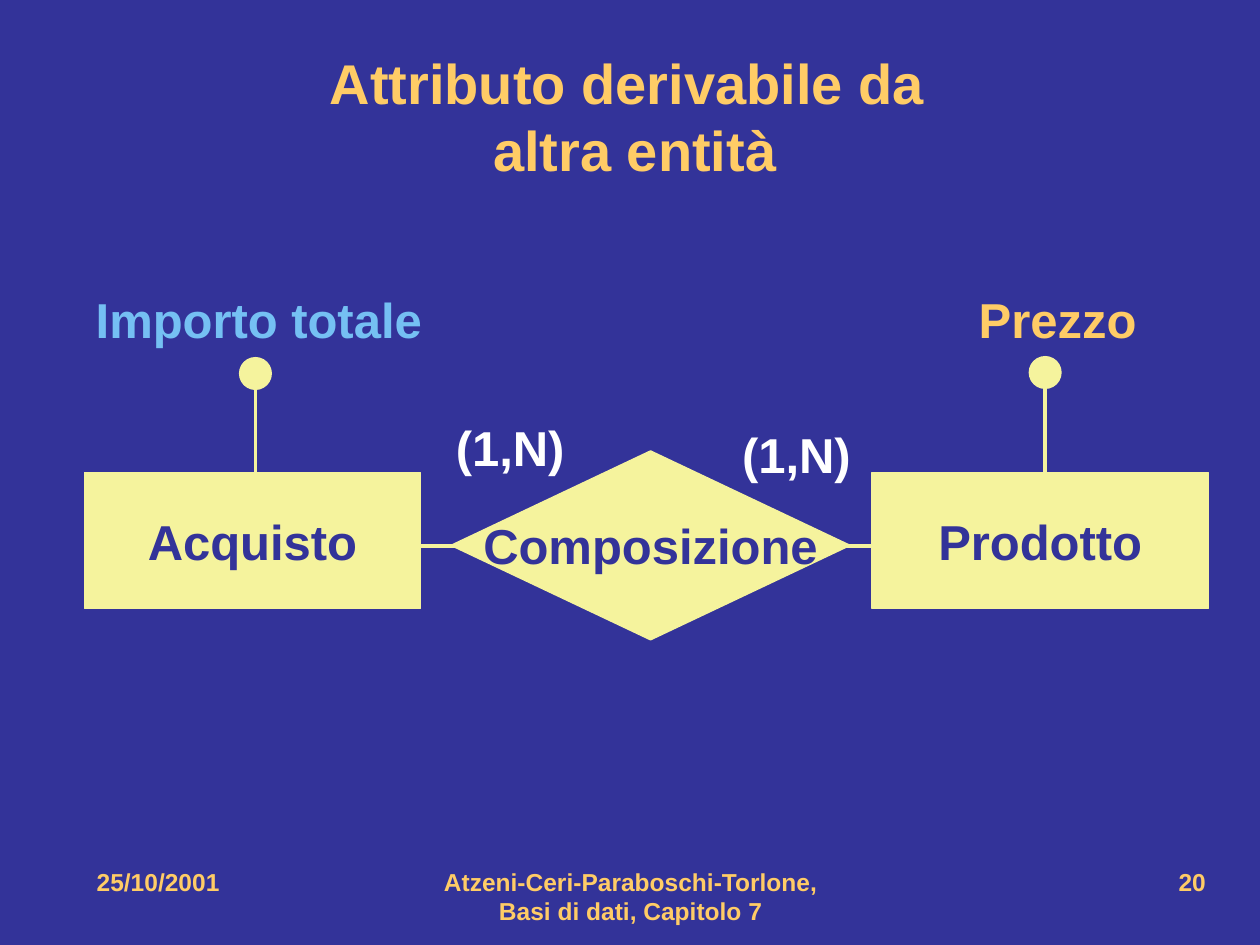
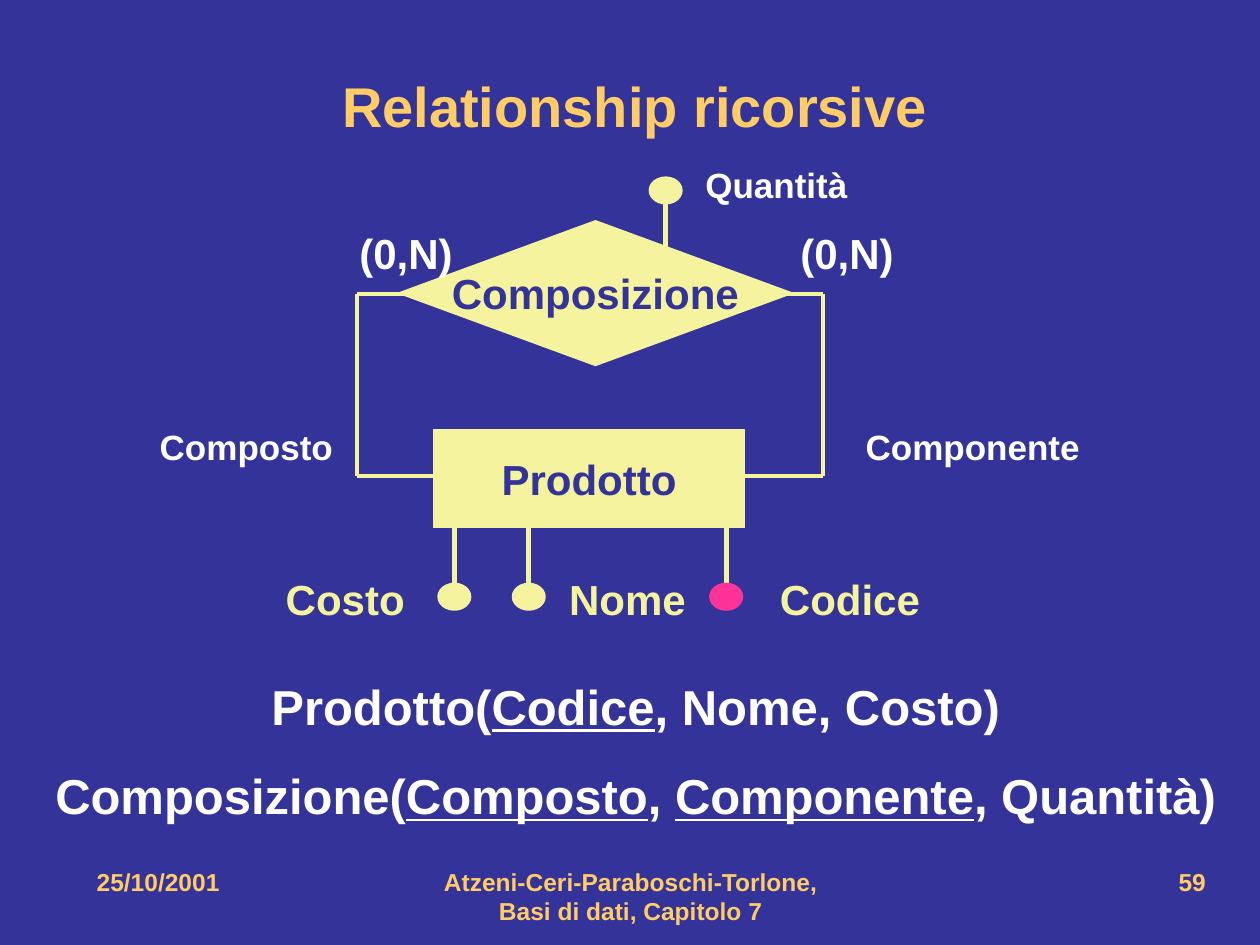
from lxml import etree
from pptx import Presentation
from pptx.dml.color import RGBColor
from pptx.enum import shapes, text
from pptx.oxml import ns
from pptx.util import Cm, Pt

NAVY = RGBColor(0x33, 0x33, 0x99)
GOLD = RGBColor(0xFF, 0xCC, 0x66)
CREAM = RGBColor(0xF5, 0xF3, 0x9D)
SKY = RGBColor(0x75, 0xC0, 0xF3)
PINK = RGBColor(0xFF, 0x33, 0x99)
WHITE = RGBColor(0xFF, 0xFF, 0xFF)

FONT = "Arial"
LEFT, MID, RIGHT = text.PP_ALIGN.LEFT, text.PP_ALIGN.CENTER, text.PP_ALIGN.RIGHT
TOP, CORE = text.MSO_ANCHOR.TOP, text.MSO_ANCHOR.MIDDLE
KIND = shapes.MSO_SHAPE


def write(frame, words, size=28, color=WHITE, align=LEFT, anchor=TOP,
          wrap=False, grow=False, gap=0):
    """Fill a frame: one paragraph a line, words between underscores underlined."""
    fit = text.MSO_AUTO_SIZE
    frame.word_wrap = wrap
    frame.auto_size = fit.SHAPE_TO_FIT_TEXT if grow else fit.NONE
    frame.vertical_anchor = anchor
    for i, line in enumerate(words.split("\n")):
        para = frame.add_paragraph() if i else frame.paragraphs[0]
        para.alignment = align
        para.space_before = Pt(gap if i else 0)
        for j, part in enumerate(line.split("_")):
            for k, piece in enumerate(part.split("\v")):
                if k:
                    para.add_line_break()
                run = para.add_run()
                run.text = piece
                font = run.font
                font.name, font.size, font.bold = FONT, Pt(size), True
                font.color.rgb = color
                font.underline = j % 2 == 1


def label(slide, words, x, y, w, h, grow=True, **style):
    box = slide.shapes.add_textbox(Cm(x), Cm(y), Cm(w), Cm(h))
    write(box.text_frame, words, grow=grow, **style)


def shape(slide, kind, x, y, w, h, color=CREAM, edge=0.75):
    item = slide.shapes.add_shape(kind, Cm(x), Cm(y), Cm(w), Cm(h))
    item.shadow.inherit = False
    item.fill.solid()
    item.fill.fore_color.rgb = color
    item.line.color.rgb = color
    item.line.width = Pt(edge)
    return item


def node(slide, kind, words, x, y, w, h, size=28):
    item = shape(slide, kind, x, y, w, h)
    write(item.text_frame, words, size=size, color=NAVY, align=MID, anchor=CORE)


def line(slide, x1, y1, x2, y2, width=2.25):
    item = slide.shapes.add_connector(
        shapes.MSO_CONNECTOR.STRAIGHT, Cm(x1), Cm(y1), Cm(x2), Cm(y2))
    item.line.color.rgb = CREAM
    item.line.width = Pt(width)
    etree.SubElement(item._element.spPr, ns.qn("a:effectLst"))


def pin(slide, x, y, end, w, h, color=CREAM, stem=3, edge=3):
    """Attribute: a dot centred on x with its top at y, and a stem to end."""
    line(slide, x, y + h if end > y else y, x, end, stem)
    shape(slide, KIND.OVAL, x - w / 2, y, w, h, color, edge)


def page(prs, title, height, number):
    """Start a slide with its title and footers."""
    slide = prs.slides.add_slide(prs.slide_layouts[5])
    head = slide.shapes.title
    head.left, head.top, head.width, head.height = map(
        Cm, (1.27, 0.64, 23.06, height))
    write(head.text_frame, title, size=32, color=GOLD, align=MID,
          anchor=CORE, wrap=True)
    for words, x, w, align in (
            ("Atzeni-Ceri-Paraboschi-Torlone, Basi di dati, Capitolo 7",
             8.69, 8.05, MID),
            (str(number), 18.21, 6.35, RIGHT),
            ("25/10/2001", 1.7, 5.51, LEFT)):
        label(slide, words, x, 17.35, w, 1.27, size=14, color=GOLD,
              align=align, wrap=True, grow=False)
    return slide


def derived(prs):
    slide = page(prs, "Attributo derivabile da \valtra entità", 3.38, 20)

    # Entities and relationship
    line(slide, 7.62, 11, 17.98, 11)
    node(slide, KIND.DIAMOND, "Composizione", 9.09, 9.09, 8.05, 3.81)
    for words, x in (("Acquisto", 1.7), ("Prodotto", 17.58)):
        node(slide, KIND.RECTANGLE, words, x, 9.53, 6.78, 2.74)

    # Attributes
    for words, x, w, color, dot, y in (
            ("Importo totale", 1.68, 7.2, SKY, 5.15, 7.21),
            ("Prezzo", 19.48, 3.8, GOLD, 21.07, 7.19)):
        pin(slide, dot, y, 9.72, 0.64, 0.64, stem=2.25, edge=0.75)
        label(slide, words, x, 5.72, w, 1.45, color=color)

    # Cardinalities
    for x, y in ((8.84, 8.28), (14.61, 8.43)):
        label(slide, "(1,N)", x, y, 2.89, 1.45, align=MID, anchor=CORE)


def loop(prs):
    slide = page(prs, "Relationship ricorsive", 2.97, 59)

    # Relationship, entity and the two branches between them
    line(slide, 7.19, 5.92, 16.59, 5.92)
    for x, side in ((7.19, 9.35), (16.59, 14.45)):
        line(slide, x, 5.92, x, 9.6)
        line(slide, x, 9.6, side, 9.6)
    node(slide, KIND.DIAMOND, "Composizione", 8.03, 4.45, 7.95, 2.92, size=24)
    node(slide, KIND.RECTANGLE, "Prodotto", 8.74, 8.66, 6.27, 1.98, size=24)

    # Roles and cardinalities
    for words, x, y, w in (("Composto", 2.97, 8.46, 4.15),
                           ("Componente", 17.2, 8.46, 5),
                           ("Quantità", 13.97, 3.18, 3.5)):
        label(slide, words, x, y, w, 1.12, size=20)
    for x in (6.89, 15.78):
        label(slide, "(0,N)", x, 4.45, 2.59, 1.27, size=24, align=MID,
              anchor=CORE)

    # Attributes
    for words, x, w, dot, color in (("Costo", 5.41, 3.1, 9.16, CREAM),
                                    ("Nome", 11.13, 3.04, 10.66, CREAM),
                                    ("Codice", 15.37, 3.53, 14.64, PINK)):
        pin(slide, dot, 11.8, 10.43, 0.58, 0.46, color)
        label(slide, words, x, 11.43, w, 1.27, size=24, color=CREAM, align=MID)
    pin(slide, 13.42, 3.61, 5.41, 0.58, 0.46)

    # Relational schema
    label(slide, "Prodotto(_Codice_, Nome, Costo)\n"
          "Composizione(_Composto_, _Componente_, Quantità)",
          0.43, 13.51, 24.77, 3.25, align=MID, wrap=True, gap=17.5)


def main():
    prs = Presentation()
    prs.slide_width, prs.slide_height = Cm(25.4), Cm(19.05)
    back = prs.slide_master.background.fill
    back.solid()
    back.fore_color.rgb = NAVY
    derived(prs)
    loop(prs)
    prs.save("out.pptx")


if __name__ == "__main__":
    main()
